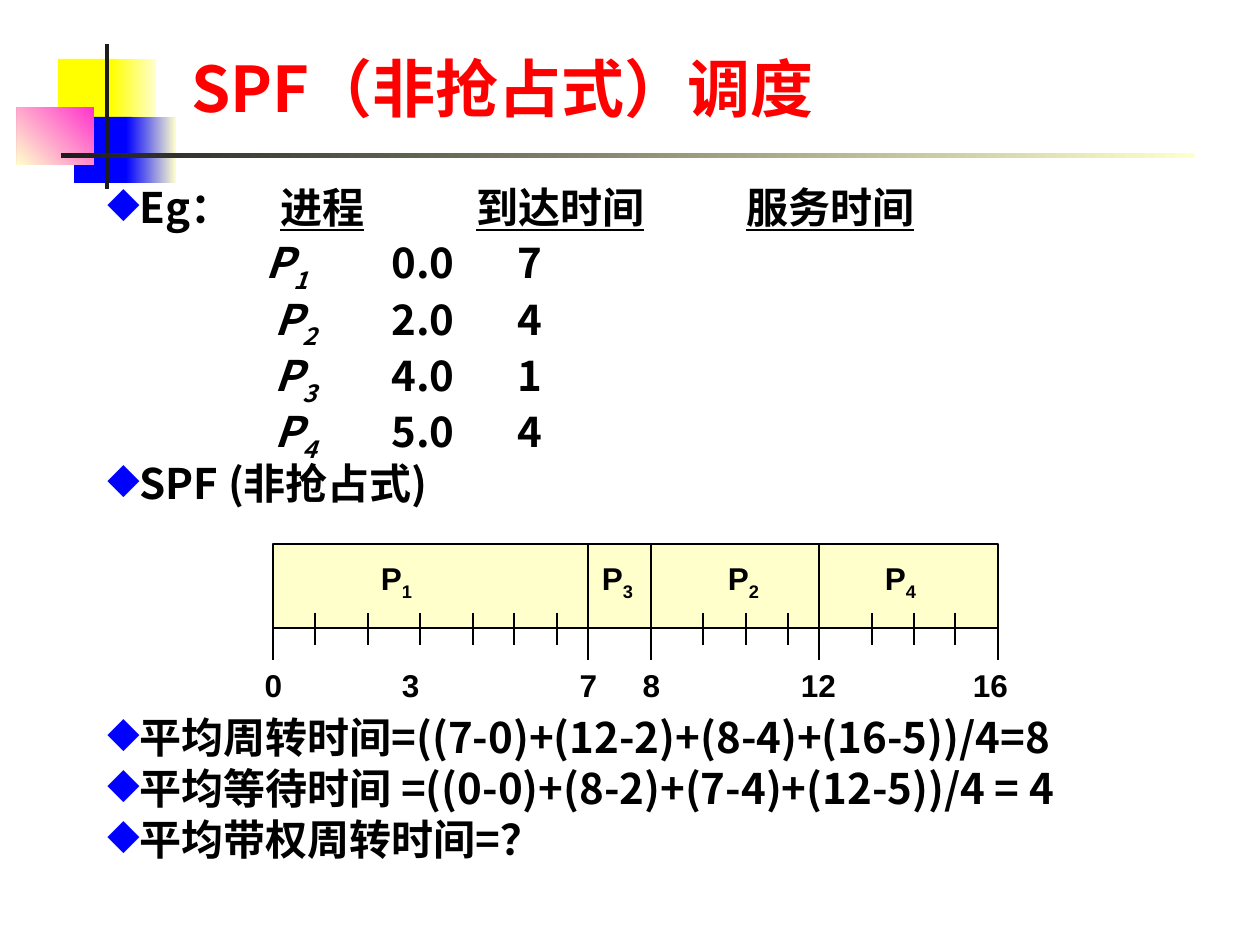
import pptx
import pptx.dml.color
import pptx.enum.shapes
import pptx.enum.text
import pptx.oxml.ns
import pptx.util
from lxml import etree

RGB = pptx.dml.color.RGBColor
BLACK, RED = RGB(0, 0, 0), RGB(0xFF, 0, 0)
YELLOW, BLUE, PINK = RGB(0xFF, 0xFF, 0), RGB(0, 0, 0xFF), RGB(0xFF, 0x33, 0xCC)
CREAM, DARK = RGB(0xFF, 0xFF, 0xCC), RGB(0x1C, 0x1C, 0x1C)
SANS, LABEL = "Noto Sans CJK SC", "Arial"
RECT = pptx.enum.shapes.MSO_SHAPE.RECTANGLE
ANCHOR, ALIGN = pptx.enum.text.MSO_ANCHOR, pptx.enum.text.PP_ALIGN
AUTO = pptx.enum.text.MSO_AUTO_SIZE
qn = pptx.oxml.ns.qn

# Content
TITLE = "SPF（非抢占式）调度"
HEADER = ["Eg：", "进程", "到达时间", "服务时间"]
# lead before the name, process number, arrival time, service time
PROCESSES = [("", 1, "0.0", 7), (" ", 2, "2.0", 4), (" ", 3, "4.0", 1), (" ", 4, "5.0", 4)]
METHOD = "SPF (非抢占式)"
RESULTS = [
    "平均周转时间=((7-0)+(12-2)+(8-4)+(16-5))/4=8",
    "平均等待时间 =((0-0)+(8-2)+(7-4)+(12-5))/4 = 4",
    "平均带权周转时间=？",
]
HEADER_TABS, PROCESS_TABS = (173, 369, 639), (158, 284, 410)
CHART_GAP = 122  # points left free for the Gantt chart

# Decoration: left, top, width, height, colour, end colour, angle
DECORATION = [
    (58, 59, 60, 66, YELLOW, None, 0),
    (111, 59, 45, 66, YELLOW, CREAM, 0),
    (74, 117, 58, 66, BLUE, None, 0),
    (126, 117, 50, 66, BLUE, CREAM, 0),
    (17, 107, 77, 58, PINK, CREAM, 225),
    (105, 44, 4, 145, DARK, None, 0),
    (61, 153, 1134, 5, DARK, CREAM, 0),
]

# Gantt chart
BAR_LEFT, BAR_RIGHT, BAR_TOP, BAR_BOTTOM = 273, 998, 544, 628
TICK_TOP, TICK_BOTTOM, MARK_BOTTOM = 613, 645, 660
SWITCHES = [588, 651, 819]
TICKS = [315, 368, 420, 473, 514, 557, 703, 746, 788, 872, 914, 955]
BAR_LABELS = [(396, 1), (617, 3), (743, 2), (900, 4)]
TIMES = [(273, "0"), (410, "3"), (588, "7"), (651, "8"), (818, "12"), (990, "16")]


def px(n):
    return pptx.util.Emu(n * 914400 // 126)


def set_font(paragraph, name, size, color):
    font = paragraph.font
    font.name, font.size, font.bold = name, pptx.util.Pt(size), True
    font.color.rgb = color
    props = paragraph._p.get_or_add_pPr().find(qn("a:defRPr"))
    etree.SubElement(props, qn("a:ea"), typeface=name)


def add_run(paragraph, text, underline=None, italic=None, subscript=False):
    run = paragraph.add_run()
    run.text = text
    run.font.underline, run.font.italic = underline, italic
    if subscript:
        run._r.get_or_add_rPr().set("baseline", "-25000")


def add_line(frame, bullet=True, tabs=(), before=6):
    first = not frame.paragraphs[0].runs
    paragraph = frame.paragraphs[0] if first else frame.add_paragraph()
    paragraph.line_spacing = 0.8
    paragraph.space_before = pptx.util.Pt(0 if first else before)
    props = paragraph._p.get_or_add_pPr()
    if bullet:
        props.set("marL", "228600")
        props.set("indent", "-228600")
        color = etree.SubElement(props, qn("a:buClr"))
        etree.SubElement(color, qn("a:srgbClr"), val=str(BLUE))
        etree.SubElement(props, qn("a:buChar"), char="◆")
    if tabs:
        stops = etree.SubElement(props, qn("a:tabLst"))
        for stop in tabs:
            etree.SubElement(stops, qn("a:tab"), pos=str(int(px(stop))), algn="l")
    set_font(paragraph, SANS, 24, BLACK)
    return paragraph


def add_rect(slide, left, top, width, height, color):
    rect = slide.shapes.add_shape(RECT, px(left), px(top), px(width), px(height))
    rect.shadow.inherit = False
    rect.fill.solid()
    rect.fill.fore_color.rgb = color
    rect.line.fill.background()
    return rect


def add_rule(slide, x, top, bottom):
    rule = slide.shapes.add_connector(
        pptx.enum.shapes.MSO_CONNECTOR.STRAIGHT, px(x), px(top), px(x), px(bottom))
    rule.line.color.rgb, rule.line.width = BLACK, pptx.util.Pt(0.75)
    etree.SubElement(rule._element.spPr, qn("a:effectLst"))


def add_label(slide, center, top, width, height, text, subscript=None):
    label = slide.shapes.add_textbox(px(center - width // 2), px(top), px(width), px(height))
    frame = label.text_frame
    frame.word_wrap, frame.auto_size = False, AUTO.SHAPE_TO_FIT_TEXT
    frame.vertical_anchor = ANCHOR.MIDDLE
    paragraph = frame.paragraphs[0]
    paragraph.alignment = ALIGN.CENTER
    set_font(paragraph, LABEL, 18, BLACK)
    add_run(paragraph, text)
    if subscript:
        add_run(paragraph, str(subscript), subscript=True)


def main():
    deck = pptx.Presentation()
    deck.slide_width, deck.slide_height = px(1260), px(945)
    slide = deck.slides.add_slide(deck.slide_layouts[5])

    # Decoration
    for left, top, width, height, color, end, angle in DECORATION:
        block = add_rect(slide, left, top, width, height, color)
        if end is not None:
            block.fill.gradient()
            block.fill.gradient_angle = angle
            for stop, shade in zip(block.fill.gradient_stops, (color, end)):
                stop.color.rgb = shade

    # Title
    title = slide.shapes.title
    title.left, title.top, title.width, title.height = px(179), px(30), px(917), px(115)
    title.text_frame.text = TITLE
    title.text_frame.auto_size = AUTO.NONE
    title.text_frame.vertical_anchor = ANCHOR.MIDDLE
    heading = title.text_frame.paragraphs[0]
    heading.alignment = ALIGN.LEFT
    set_font(heading, SANS, 36, RED)

    # Example and results
    body = slide.shapes.add_textbox(px(95), px(185), px(1091), px(725)).text_frame
    body.word_wrap = True
    header = add_line(body, tabs=HEADER_TABS)
    add_run(header, HEADER[0])
    for column in HEADER[1:]:
        add_run(header, "\t")
        add_run(header, column, underline=True)
    for lead, number, arrival, service in PROCESSES:
        row = add_line(body, bullet=False, tabs=PROCESS_TABS)
        add_run(row, "\t" + lead)
        add_run(row, "P", italic=True)
        add_run(row, str(number), italic=True, subscript=True)
        add_run(row, f"\t{arrival}\t{service}")
    add_run(add_line(body), METHOD)
    for i, result in enumerate(RESULTS):
        add_run(add_line(body, before=6 if i else CHART_GAP), result)

    # Gantt chart
    bar = add_rect(slide, BAR_LEFT, BAR_TOP, BAR_RIGHT - BAR_LEFT, BAR_BOTTOM - BAR_TOP, CREAM)
    bar.line.color.rgb, bar.line.width = BLACK, pptx.util.Pt(0.75)
    for x in (BAR_LEFT, BAR_RIGHT):
        add_rule(slide, x, BAR_BOTTOM, MARK_BOTTOM)
    for x in SWITCHES:
        add_rule(slide, x, BAR_TOP, MARK_BOTTOM)
    for x in TICKS:
        add_rule(slide, x, TICK_TOP, TICK_BOTTOM)
    for center, number in BAR_LABELS:
        add_label(slide, center, 553, 57, 55, "P", number)
    for center, time in TIMES:
        add_label(slide, center, MARK_BOTTOM, 25 + 18 * len(time), 50, time)

    deck.save("out.pptx")


if __name__ == "__main__":
    main()
